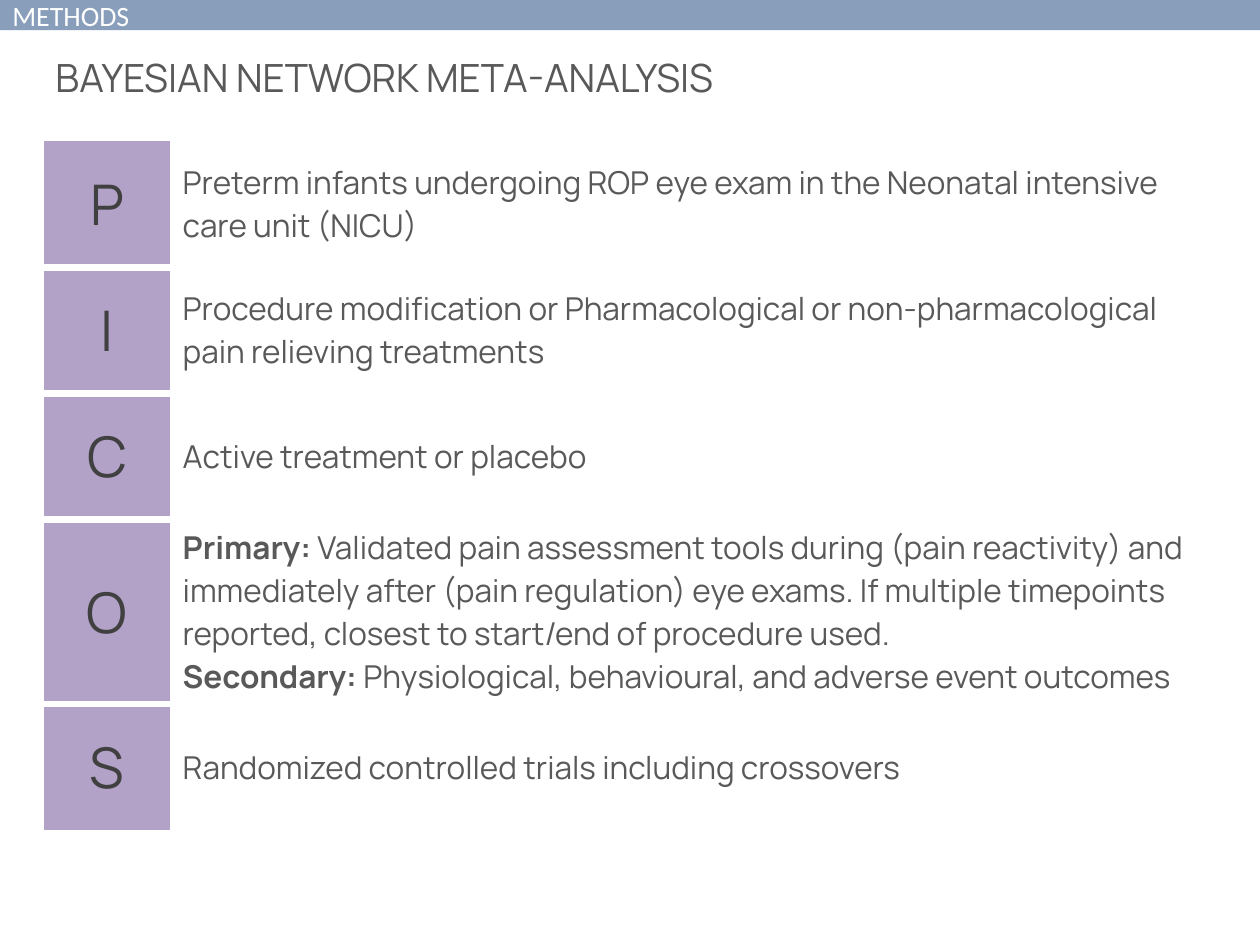
from lxml.etree import SubElement
from pptx import Presentation
from pptx.dml.color import RGBColor
from pptx.enum.shapes import MSO_SHAPE
from pptx.enum.text import MSO_ANCHOR, MSO_AUTO_SIZE, PP_ALIGN
from pptx.oxml.ns import qn
from pptx.util import Inches, Pt

SECTION = "METHODS"
TITLE = "BAYESIAN NETWORK META-ANALYSIS"
PICOS = [
    ("P", 1, [[("Preterm infants undergoing ROP eye exam in the Neonatal intensive care unit (NICU)", False)]]),
    ("I", 1, [[("Procedure modification or Pharmacological or non-pharmacological pain relieving treatments", False)]]),
    ("C", 1, [[("Active treatment or placebo", False)]]),
    ("O", 0.89, [
        [("Primary: ", True),
         ("Validated pain assessment tools during (pain reactivity) and immediately after "
          "(pain regulation) eye exams. If multiple timepoints reported, closest to "
          "start/end of procedure used.", False)],
        [("Secondary:", True), (" Physiological, behavioural, and adverse event outcomes", False)],
    ]),
    ("S", 1, [[("Randomized controlled trials including crossovers", False)]]),
]
COLUMNS = (1, 8.21)
LEFT, TABLE_TOP, BANNER_HEIGHT = 0.35, 1.12, 0.24
NAVY, PURPLE, WHITE, DARK, GREY = "1F497D", "B3A2C7", "FFFFFF", "404040", "595959"
PLAIN_TABLE = "{2D5ABB26-0587-4C30-8999-92F81FD0307C}"


def color(value):
    """Turn a hex string into a colour."""
    return RGBColor.from_string(value)


def write(paragraph, text, size=18, ink=GREY, font="Manrope", bold=False, align=PP_ALIGN.LEFT):
    """Add a formatted run to a paragraph."""
    paragraph.alignment = align
    span = paragraph.add_run()
    span.text = text
    span.font.name, span.font.size, span.font.bold = font, Pt(size), bold
    span.font.color.rgb = color(ink)


def add_border(cell, side):
    """Draw a white 4.5 point border on one side of a cell."""
    line = SubElement(cell._tc.get_or_add_tcPr(), qn(f"a:{side}"), w=str(Pt(4.5)))
    SubElement(SubElement(line, qn("a:solidFill")), qn("a:srgbClr"), val=WHITE)


def add_picos(page):
    """Build the table of letters and criteria."""
    height = sum(row[1] for row in PICOS)
    table = page.shapes.add_table(len(PICOS), len(COLUMNS), Inches(LEFT), Inches(TABLE_TOP),
                                  Inches(sum(COLUMNS)), Inches(height)).table
    table.first_row = table.horz_banding = False
    table._tbl.tblPr.find(qn("a:tableStyleId")).text = PLAIN_TABLE
    for column, width in zip(table.columns, COLUMNS):
        column.width = Inches(width)
    for index, (letter, row_height, paragraphs) in enumerate(PICOS):
        table.rows[index].height = Inches(row_height)
        key, criteria = table.cell(index, 0), table.cell(index, 1)
        key.vertical_anchor = criteria.vertical_anchor = MSO_ANCHOR.MIDDLE
        if index > 0:
            add_border(key, "lnT")
        if index < len(PICOS) - 1:
            add_border(key, "lnB")
        key.fill.solid()
        key.fill.fore_color.rgb = color(PURPLE)
        criteria.fill.background()
        write(key.text_frame.paragraphs[0], letter, size=32, ink=DARK, align=PP_ALIGN.CENTER)
        frame = criteria.text_frame
        for number, spans in enumerate(paragraphs):
            para = frame.add_paragraph() if number else frame.paragraphs[0]
            for text, bold in spans:
                write(para, text, bold=bold)


def add_banner(page, width):
    """Draw the translucent section banner."""
    banner = page.shapes.add_shape(MSO_SHAPE.RECTANGLE, 0, 0, width, Inches(BANNER_HEIGHT))
    banner.shadow.inherit = False
    banner.fill.solid()
    banner.fill.fore_color.rgb = color(NAVY)
    SubElement(banner._element.spPr.find(f".//{qn('a:srgbClr')}"), qn("a:alpha"), val="53000")
    banner.line.fill.background()
    banner.text_frame.vertical_anchor = MSO_ANCHOR.MIDDLE
    write(banner.text_frame.paragraphs[0], SECTION, size=16, ink=WHITE, font="Calibri")


def set_title(page):
    """Place and format the title."""
    title = page.shapes.title
    title.left, title.top = Inches(LEFT), Inches(BANNER_HEIGHT)
    title.width, title.height = Inches(9), Inches(0.63)
    frame = title.text_frame
    frame.auto_size, frame.word_wrap = MSO_AUTO_SIZE.NONE, True
    frame.vertical_anchor = MSO_ANCHOR.TOP
    frame.margin_left = frame.margin_right = Inches(0.09)
    frame.margin_top = frame.margin_bottom = Inches(0.04)
    frame.paragraphs[0].line_spacing = 1.4
    write(frame.paragraphs[0], TITLE, size=22.2)


def main():
    """Build and save the slide."""
    deck = Presentation()
    deck.slide_width, deck.slide_height = Inches(10), Inches(7.5)
    page = deck.slides.add_slide(deck.slide_layouts[5])
    add_picos(page)
    add_banner(page, deck.slide_width)
    set_title(page)
    deck.save("out.pptx")


if __name__ == "__main__":
    main()
